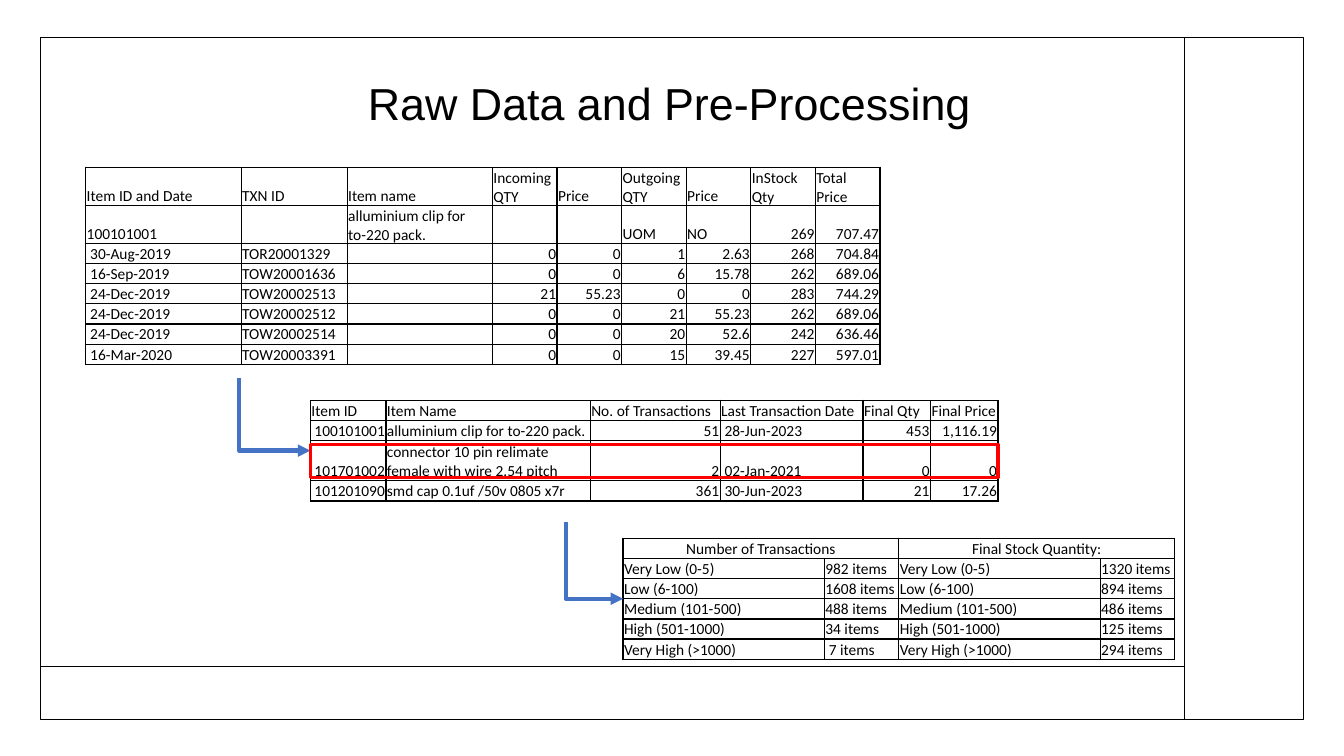
from lxml.etree import SubElement
from pptx import Presentation
from pptx.dml.color import RGBColor
from pptx.enum.shapes import MSO_CONNECTOR, MSO_SHAPE
from pptx.enum.text import MSO_ANCHOR, PP_ALIGN
from pptx.oxml.ns import qn
from pptx.util import Inches, Pt

WIDTH, HEIGHT = Inches(13.33), Inches(7.5)
COLORS = {"ink": "000000", "arrow": "4472C4", "highlight": "FF0000"}
TABLE_SIZE = 11
ROW = 2.67  # one table line, in percent of the slide's height
CELL_FORMAT = {
    "vertical_anchor": MSO_ANCHOR.BOTTOM,
    "margin_left": Inches(0.01), "margin_right": Inches(0.01),
    "margin_top": Inches(0.01), "margin_bottom": 0,
}
TITLE_FORMAT = {"word_wrap": False}
PLAIN_TABLE = {"first_row": False, "horz_banding": False}

STOCK_MOVES = [
    ["Item ID and Date", "TXN ID", "Item name", "Incoming QTY", "Price",
     "Outgoing QTY", "Price", "InStock Qty", "Total Price"],
    ["100101001", "", "alluminium clip for to-220 pack.", "", "",
     "UOM", "NO", "269", "707.47"],
    [" 30-Aug-2019", "TOR20001329", "", "0", "0", "1", "2.63", "268", "704.84"],
    [" 16-Sep-2019", "TOW20001636", "", "0", "0", "6", "15.78", "262", "689.06"],
    [" 24-Dec-2019", "TOW20002513", "", "21", "55.23", "0", "0", "283", "744.29"],
    [" 24-Dec-2019", "TOW20002512", "", "0", "0", "21", "55.23", "262", "689.06"],
    [" 24-Dec-2019", "TOW20002514", "", "0", "0", "20", "52.6", "242", "636.46"],
    [" 16-Mar-2020", "TOW20003391", "", "0", "0", "15", "39.45", "227", "597.01"],
]
ITEM_TOTALS = [
    ["Item ID", "Item Name", "No. of Transactions", "Last Transaction Date",
     "Final Qty", "Final Price"],
    ["100101001", "alluminium clip for to-220 pack.", "51", " 28-Jun-2023",
     "453", "1,116.19"],
    ["101701002", "connector 10 pin relimate female with wire 2.54 pitch", "2",
     " 02-Jan-2021", "0", "0"],
    ["101201090", "smd cap 0.1uf /50v 0805 x7r", "361", " 30-Jun-2023",
     "21", "17.26"],
]
LEVELS = [
    ("Very Low (0-5)", "982 items", "1320 items"),
    ("Low (6-100)", "1608 items", "894 items"),
    ("Medium (101-500)", "488 items", "486 items"),
    ("High (501-1000)", "34 items", "125 items"),
    ("Very High (>1000)", " 7 items", "294 items"),
]
LEVEL_COUNTS = [["Number of Transactions", "", "Final Stock Quantity:", ""]] + [
    [level, transactions, level, stock] for level, transactions, stock in LEVELS
]


def across(percent):
    return round(WIDTH * percent / 100)


def down(percent):
    return round(HEIGHT * percent / 100)


def place(left, top, width, height):
    """Turn percents of the slide into a position and a size."""
    return across(left), down(top), across(width), down(height)


def color(name):
    return RGBColor.from_string(COLORS[name])


def apply(target, values):
    for name, value in values.items():
        setattr(target, name, value)


def write(para, text, font, size):
    span = para.add_run()
    span.text = text
    apply(span.font, {"name": font, "size": Pt(size)})
    span.font.color.rgb = color("ink")


def add_title(page, text, area):
    box = page.shapes.add_textbox(*place(*area))
    apply(box.text_frame, TITLE_FORMAT)
    write(box.text_frame.paragraphs[0], text, "Arial", 32)


def add_outline(page, area, line_color, weight):
    box = page.shapes.add_shape(MSO_SHAPE.RECTANGLE, *place(*area))
    box.shadow.inherit = False
    box.fill.background()
    box.line.color.rgb = color(line_color)
    box.line.width = Pt(weight)


def style_connector(connector, line_color, weight):
    connector.line.color.rgb = color(line_color)
    connector.line.width = Pt(weight)
    SubElement(connector._element.spPr, qn("a:effectLst"))


def add_rule(page, start, end):
    rule = page.shapes.add_connector(
        MSO_CONNECTOR.STRAIGHT, across(start[0]), down(start[1]),
        across(end[0]), down(end[1]))
    style_connector(rule, "ink", 1)


def add_down_right_arrow(page, start, end):
    """Draw a one-bend arrow: an across-then-down bend, flipped and turned by 270°."""
    left, top = across(start[0]), down(start[1])
    run, drop = across(end[0]) - left, down(end[1]) - top
    left, top = left + (run - drop) // 2, top + (drop - run) // 2
    arrow = page.shapes.add_connector(
        MSO_CONNECTOR.ELBOW, left, top, left + drop, top + run)
    properties = arrow._element.spPr
    properties.find(qn("a:prstGeom")).set("prst", "bentConnector2")
    frame = properties.find(qn("a:xfrm"))
    frame.set("rot", str(270 * 60000))
    frame.set("flipH", "1")
    style_connector(arrow, "arrow", 3)
    SubElement(properties.find(qn("a:ln")), qn("a:tailEnd"), type="triangle")


def add_borders(cell):
    properties = cell._tc.get_or_add_tcPr()
    for side in ("lnL", "lnR", "lnT", "lnB"):
        line = SubElement(properties, qn(f"a:{side}"), w=str(Pt(1)))
        fill = SubElement(line, qn("a:solidFill"))
        SubElement(fill, qn("a:srgbClr"), val=COLORS["ink"])


def is_number(text):
    return text.replace(",", "").replace(".", "").isdigit()


def fill_cell(cell, text, align):
    apply(cell, CELL_FORMAT)
    add_borders(cell)
    cell.fill.background()
    para = cell.text_frame.paragraphs[0]
    para.alignment = align
    if text:
        write(para, text, "Calibri", TABLE_SIZE)
    else:
        para._p.get_or_add_endParaRPr().set("sz", str(TABLE_SIZE * 100))


def add_grid(page, records, corner, width, column_weights, row_lines, number_columns=()):
    """Add a ruled table; numbers in number_columns are set to the right."""
    area = place(*corner, width, ROW * sum(row_lines))
    table = page.shapes.add_table(len(records), len(column_weights), *area).table
    apply(table, PLAIN_TABLE)
    for column, weight in zip(table.columns, column_weights):
        column.width = across(width * weight / sum(column_weights))
    for row, lines in zip(table.rows, row_lines):
        row.height = down(ROW * lines)
    for row_index, record in enumerate(records):
        for column_index, text in enumerate(record):
            right = column_index in number_columns and is_number(text)
            fill_cell(table.cell(row_index, column_index), text,
                      PP_ALIGN.RIGHT if right else PP_ALIGN.LEFT)
    return table


def merge_header_pairs(table):
    for first in range(0, len(table.columns), 2):
        header = table.cell(0, first)
        header.merge(table.cell(0, first + 1))
        header.text_frame.paragraphs[0].alignment = PP_ALIGN.CENTER


def main():
    deck = Presentation()
    apply(deck, {"slide_width": WIDTH, "slide_height": HEIGHT})
    page = deck.slides.add_slide(deck.slide_layouts[6])

    add_outline(page, (3, 4.93, 94, 90.27), "ink", 1)
    add_rule(page, (88.15, 4.93), (88.15, 95.2))
    add_rule(page, (3, 88.13), (88.15, 88.13))
    add_title(page, "Raw Data and Pre-Processing", (26.63, 9.33, 46.74, 8.53))

    add_grid(page, STOCK_MOVES, (6.38, 22.13), 59.11,
             [1.54, 1.05, 1.44] + [0.64] * 6, [1.85] * 2 + [1] * 6, range(3, 9))
    add_grid(page, ITEM_TOTALS, (23.1, 52.93), 51.16,
             [0.75, 2.03, 1.29, 1.42, 0.67, 0.67], [1, 1, 2, 1], (0, 2, 4, 5))
    add_down_right_arrow(page, (17.8, 50), (23.1, 59.6))
    add_outline(page, (23.1, 58.8, 51.16, 4.4), "highlight", 2.25)
    level_table = add_grid(page, LEVEL_COUNTS, (46.36, 71.2), 41.04,
                           [2, 0.74] * 2, [1] * 6)
    merge_header_pairs(level_table)
    add_down_right_arrow(page, (42.08, 69.07), (46.36, 79.2))

    deck.save("out.pptx")


if __name__ == "__main__":
    main()
